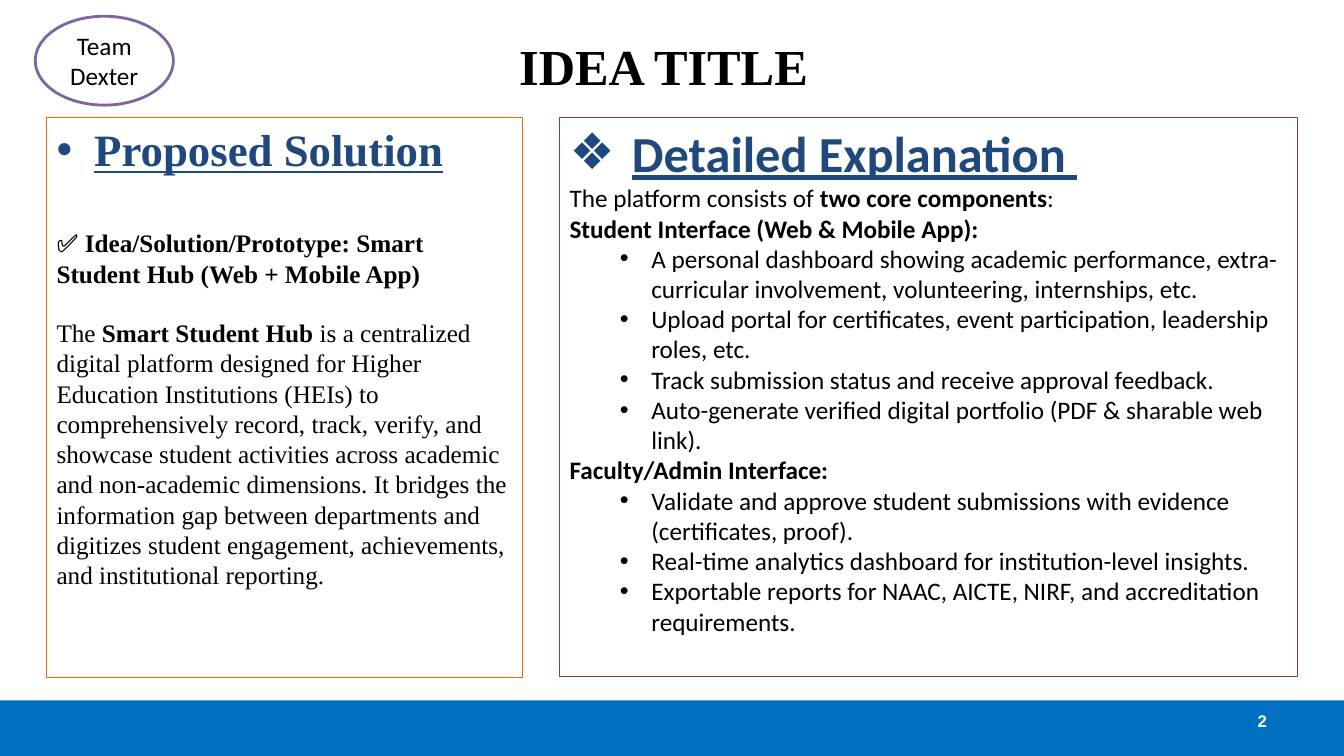
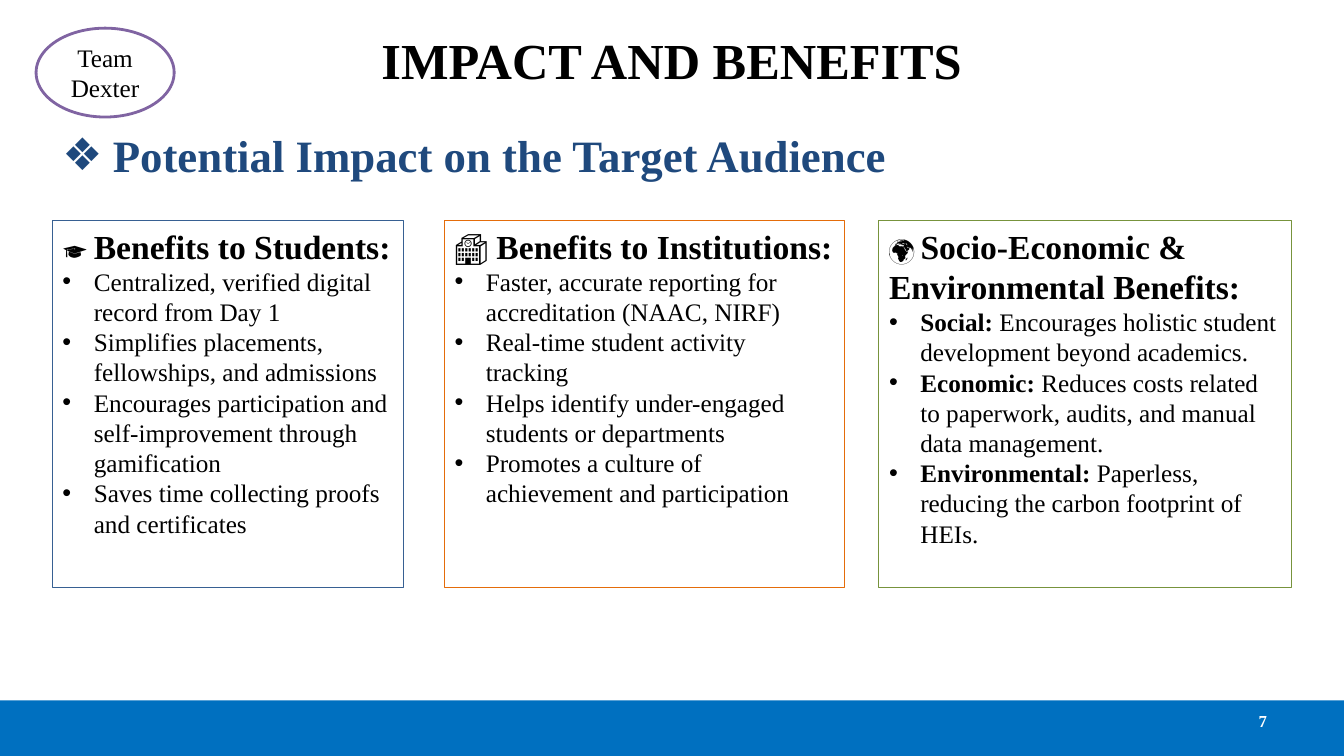
"""Build two slides on a student hub: the idea, and its impact and benefits."""
from lxml import etree
from pptx import Presentation
from pptx.dml.color import RGBColor
from pptx.enum.shapes import MSO_SHAPE
from pptx.enum.text import MSO_ANCHOR, MSO_AUTO_SIZE, PP_ALIGN
from pptx.oxml.ns import qn
from pptx.util import Cm, Pt

RECTANGLE, OVAL = MSO_SHAPE.RECTANGLE, MSO_SHAPE.OVAL
TOP, MIDDLE = MSO_ANCHOR.TOP, MSO_ANCHOR.MIDDLE
FIXED = MSO_AUTO_SIZE.NONE
LEFT, CENTER, RIGHT = PP_ALIGN.LEFT, PP_ALIGN.CENTER, PP_ALIGN.RIGHT
SERIF, SANS, PLAIN = "Times New Roman", "Calibri", "Arial"
COLORS = {
    "band": "0070C0", "heading": "1F497D", "text": "000000", "white": "FFFFFF",
    "team": "8064A2", "red": "953735", "orange": "E46C0A", "blue": "376092",
    "green": "77933C",
}
PAGE_WIDTH, PAGE_HEIGHT, BAND_HEIGHT = 33.87, 19.05, 1.4
TWO_CONTENT, COMPARISON = 3, 4


def color(name):
    return RGBColor.from_string(COLORS[name])


def add_span(para, text, font, size, ink, bold, underline):
    span = para.add_run()
    span.text = text
    span.font.name = font
    span.font.size = Pt(size)
    span.font.bold = bold
    span.font.underline = underline
    span.font.color.rgb = color(ink)


def write_para(frame, text, *, font=SERIF, size=18, ink="text", bold=False,
               underline=False, align=LEFT, bullet=None, indent=0, hang=0,
               before=0, icon=None, icon_size=18):
    para = frame.paragraphs[0]
    if para.runs:
        para = frame.add_paragraph()
    para.alignment = align
    para.space_before = Pt(before)
    props = para._p.get_or_add_pPr()
    props.set("marL", str(Cm(indent)))
    props.set("indent", str(-Cm(hang)))
    if bullet:
        etree.SubElement(props, qn("a:buFont")).set("typeface", PLAIN)
        etree.SubElement(props, qn("a:buChar")).set("char", bullet)
    else:
        etree.SubElement(props, qn("a:buNone"))
    if icon:
        add_span(para, icon + " ", font, icon_size, ink, bold, underline)
    for index, part in enumerate(text.split("**")):
        if part:
            add_span(para, part, font, size, ink, bold or index % 2 == 1, underline)


class Deck:
    """Holds the shared style and the current page."""

    def __init__(self):
        self.file = Presentation()
        self.file.slide_width = Cm(PAGE_WIDTH)
        self.file.slide_height = Cm(PAGE_HEIGHT)
        self.page = None

    def start_page(self, layout, number, number_font):
        self.page = self.file.slides.add_slide(self.file.slide_layouts[layout])
        top = PAGE_HEIGHT - BAND_HEIGHT
        self.shape(RECTANGLE, (0, top, PAGE_WIDTH, BAND_HEIGHT), fill="band")
        box = self.page.shapes.add_textbox(Cm(24.28), Cm(top), Cm(7.9), Cm(1.02))
        box.text_frame.word_wrap = True
        box.text_frame.vertical_anchor = MIDDLE
        write_para(box.text_frame, number, font=number_font, size=12,
                   ink="white", bold=True, align=RIGHT)

    def shape(self, kind, place, fill, line=None):
        box = self.page.shapes.add_shape(kind, *map(Cm, place))
        box.shadow.inherit = False
        box.fill.solid()
        box.fill.fore_color.rgb = color(fill)
        if line:
            box.line.color.rgb = color(line)
            box.line.width = Pt(2)
        else:
            box.line.fill.background()
        return box

    def team(self, left, top, font):
        box = self.shape(OVAL, (left, top, 3.48, 2.24), fill="white", line="team")
        box.text_frame.word_wrap = True
        box.text_frame.vertical_anchor = MIDDLE
        write_para(box.text_frame, "Team Dexter", font=font, align=CENTER)

    def placeholder(self, index, place, anchor=TOP, line=None):
        box = self.page.placeholders[index]
        box.left, box.top, box.width, box.height = map(Cm, place)
        if line:
            box.line.color.rgb = color(line)
            box.line.width = Pt(0.75)
        frame = box.text_frame
        frame.word_wrap = True
        frame.auto_size = FIXED
        frame.vertical_anchor = anchor
        return frame

    def title(self, text, left, top, width):
        frame = self.placeholder(0, (left, top, width, 2), anchor=MIDDLE)
        write_para(frame, text, size=36, bold=True, align=CENTER)

    def heading(self, frame, text, bullet, indent, size=32, font=SERIF, underline=True):
        write_para(frame, text, font=font, size=size, ink="heading", bold=True,
                   underline=underline, bullet=bullet, indent=indent, hang=indent)

    def bullets(self, frame, items, font=SERIF, indent=0.79):
        for item in items:
            write_para(frame, item, font=font, bullet="•", indent=indent, hang=0.79)


def build_idea(deck):
    deck.start_page(TWO_CONTENT, "2", PLAIN)
    deck.title("IDEA TITLE", 11.2, 0.65, 11.05)
    deck.team(0.89, 0.41, SANS)

    solution = deck.placeholder(1, (1.17, 2.95, 11.99, 14.12), line="orange")
    deck.heading(solution, "Proposed Solution", "•", 0.95)
    write_para(solution, "✅ Idea/Solution/Prototype: Smart Student Hub (Web + Mobile App)",
               bold=True, before=37)
    write_para(solution, "The **Smart Student Hub** is a centralized digital platform "
               "designed for Higher Education Institutions (HEIs) to comprehensively "
               "record, track, verify, and showcase student activities across academic "
               "and non-academic dimensions. It bridges the information gap between "
               "departments and digitizes student engagement, achievements, and "
               "institutional reporting.", before=21)

    detail = deck.placeholder(2, (14.1, 2.95, 18.59, 14.1), line="red")
    deck.heading(detail, "Detailed Explanation ", "❖", 1.57, size=36, font=SANS)
    write_para(detail, "The platform consists of **two core components**:", font=SANS)
    interfaces = {
        "Student Interface (Web & Mobile App):": [
            "A personal dashboard showing academic performance, extra-curricular "
            "involvement, volunteering, internships, etc.",
            "Upload portal for certificates, event participation, leadership roles, etc.",
            "Track submission status and receive approval feedback.",
            "Auto-generate verified digital portfolio (PDF & sharable web link).",
        ],
        "Faculty/Admin Interface:": [
            "Validate and approve student submissions with evidence (certificates, proof).",
            "Real-time analytics dashboard for institution-level insights.",
            "Exportable reports for NAAC, AICTE, NIRF, and accreditation requirements.",
        ],
    }
    for name, features in interfaces.items():
        write_para(detail, name, font=SANS, bold=True)
        deck.bullets(detail, features, font=SANS, indent=2.06)


def build_impact(deck):
    deck.start_page(COMPARISON, "7", SERIF)
    deck.title("IMPACT AND BENEFITS", 1.69, 0.5, 30.48)
    deck.team(0.91, 0.71, SERIF)
    audience = deck.placeholder(1, (1.32, 3.1, 29.51, 1.63))
    deck.heading(audience, "Potential Impact on the Target Audience", "❖", 1.27,
                 underline=False)
    cards = [
        (1.32, 8.84, "blue", "🎓", 18, "Benefits to Students:", [
            "Centralized, verified digital record from Day 1",
            "Simplifies placements, fellowships, and admissions",
            "Encourages participation and self-improvement through gamification",
            "Saves time collecting proofs and certificates",
        ]),
        (11.2, 10.08, "orange", "🏫", 24, "Benefits to Institutions:", [
            "Faster, accurate reporting for accreditation (NAAC, NIRF)",
            "Real-time student activity tracking",
            "Helps identify under-engaged students or departments",
            "Promotes a culture of achievement and participation",
        ]),
        (22.15, 10.41, "green", "🌍", 18, "Socio-Economic & Environmental Benefits:", [
            "**Social:** Encourages holistic student development beyond academics.",
            "**Economic:** Reduces costs related to paperwork, audits, and manual "
            "data management.",
            "**Environmental:** Paperless, reducing the carbon footprint of HEIs.",
        ]),
    ]
    for index, card in enumerate(cards, start=2):
        left, width, line, icon, icon_size, name, benefits = card
        frame = deck.placeholder(index, (left, 5.56, width, 9.25), line=line)
        write_para(frame, name, size=24, bold=True, icon=icon, icon_size=icon_size)
        deck.bullets(frame, benefits)


def main():
    deck = Deck()
    build_idea(deck)
    build_impact(deck)
    deck.file.save("out.pptx")


if __name__ == "__main__":
    main()
